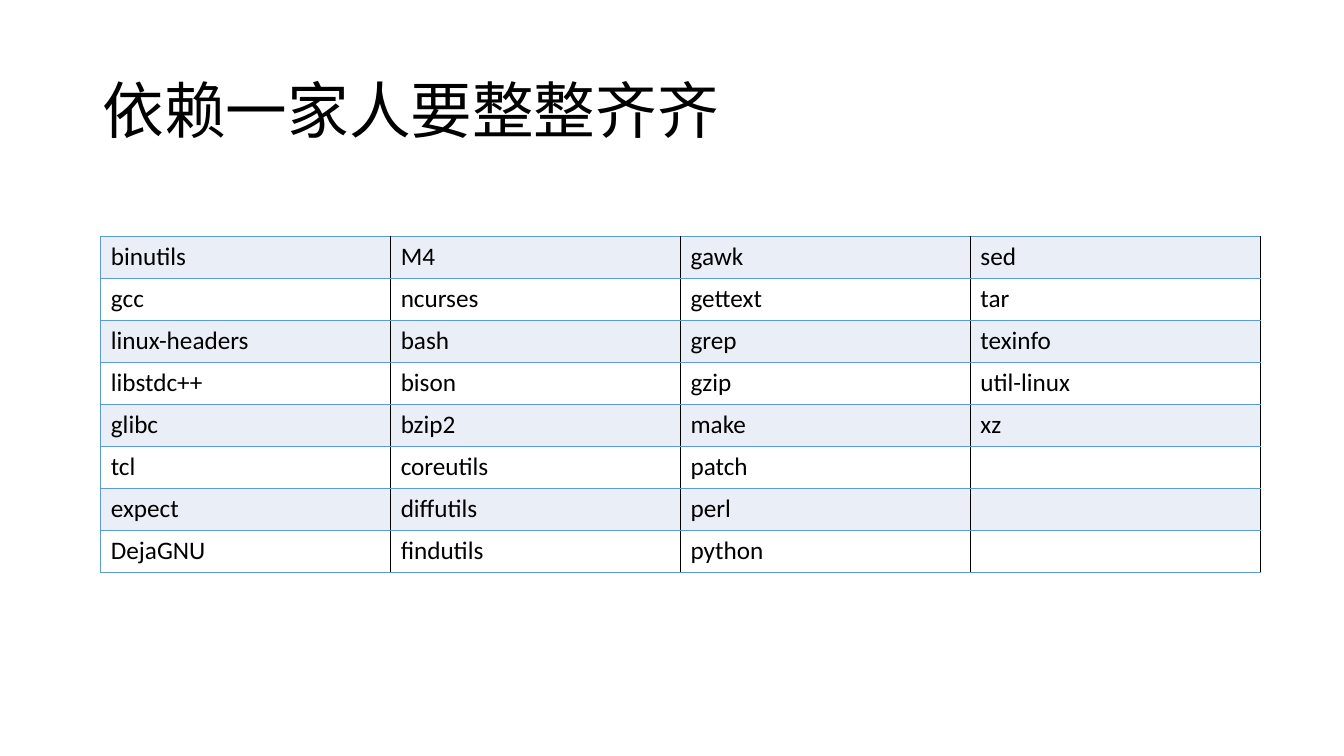
from typing import NamedTuple

from lxml.etree import SubElement
from pptx import Presentation
from pptx.dml.color import RGBColor
from pptx.enum.text import MSO_ANCHOR
from pptx.oxml.ns import qn
from pptx.slide import Slide
from pptx.table import _Cell
from pptx.text.text import _Paragraph
from pptx.util import Inches, Pt

COLORS = {"text": "000000", "band": "EAEFF7", "plain": "FFFFFF",
          "rule": "5B9BD5", "divider": "000000"}
FONT = "Calibri"
TITLE = "依赖一家人要整整齐齐"


class PackageColumn(NamedTuple):
    names: tuple[str, ...]
    left_border: str


class Border(NamedTuple):
    tag: str
    color: str


PACKAGE_COLUMNS = (
    PackageColumn(("binutils", "gcc", "linux-headers", "libstdc++",
                   "glibc", "tcl", "expect", "DejaGNU"), "rule"),
    PackageColumn(("M4", "ncurses", "bash", "bison",
                   "bzip2", "coreutils", "diffutils", "findutils"), "divider"),
    PackageColumn(("gawk", "gettext", "grep", "gzip",
                   "make", "patch", "perl", "python"), "divider"),
    PackageColumn(("sed", "tar", "texinfo", "util-linux", "xz"), "divider"),
)
ROW_COUNT = max(len(column.names) for column in PACKAGE_COLUMNS)
TABLE_WIDTH = 11.5
ROW_HEIGHT = 5 / 12


def add_text(paragraph: _Paragraph, text: str, size: int) -> None:
    run = paragraph.add_run()
    run.text = text
    run.font.name = FONT
    run.font.size = Pt(size)
    run.font.color.rgb = RGBColor.from_string(COLORS["text"])


def set_borders(cell: _Cell, left_border: str) -> None:
    properties = cell._tc.get_or_add_tcPr()
    borders = (Border("a:lnL", left_border), Border("a:lnR", "divider"),
               Border("a:lnT", "rule"), Border("a:lnB", "rule"))
    for border in borders:
        line = SubElement(properties, qn(border.tag), w=str(Pt(1)))
        fill = SubElement(line, qn("a:solidFill"))
        SubElement(fill, qn("a:srgbClr"), val=COLORS[border.color])


def add_title(slide: Slide) -> None:
    title = slide.shapes.add_textbox(
        Inches(0.92), Inches(0.4), Inches(11.5), Inches(1.45)).text_frame
    title.word_wrap = True
    title.vertical_anchor = MSO_ANCHOR.MIDDLE
    title.paragraphs[0].line_spacing = 0.9
    add_text(title.paragraphs[0], TITLE, 44)


def add_packages(slide: Slide) -> None:
    packages = slide.shapes.add_table(
        ROW_COUNT, len(PACKAGE_COLUMNS), Inches(1), Inches(2.35),
        Inches(TABLE_WIDTH), Inches(ROW_HEIGHT * ROW_COUNT)).table
    packages.first_row = False
    packages.horz_banding = False
    for column_index, column in enumerate(PACKAGE_COLUMNS):
        for row_index in range(ROW_COUNT):
            cell = packages.cell(row_index, column_index)
            set_borders(cell, column.left_border)
            cell.fill.solid()
            shade = "plain" if row_index % 2 else "band"
            cell.fill.fore_color.rgb = RGBColor.from_string(COLORS[shade])
            paragraph = cell.text_frame.paragraphs[0]
            if row_index < len(column.names):
                add_text(paragraph, column.names[row_index], 18)
            else:
                paragraph.font.size = Pt(18)


def main() -> None:
    presentation = Presentation()
    presentation.slide_width = Inches(13.33)
    presentation.slide_height = Inches(7.5)
    slide = presentation.slides.add_slide(presentation.slide_layouts[6])
    add_title(slide)
    add_packages(slide)
    presentation.save("out.pptx")


if __name__ == "__main__":
    main()
